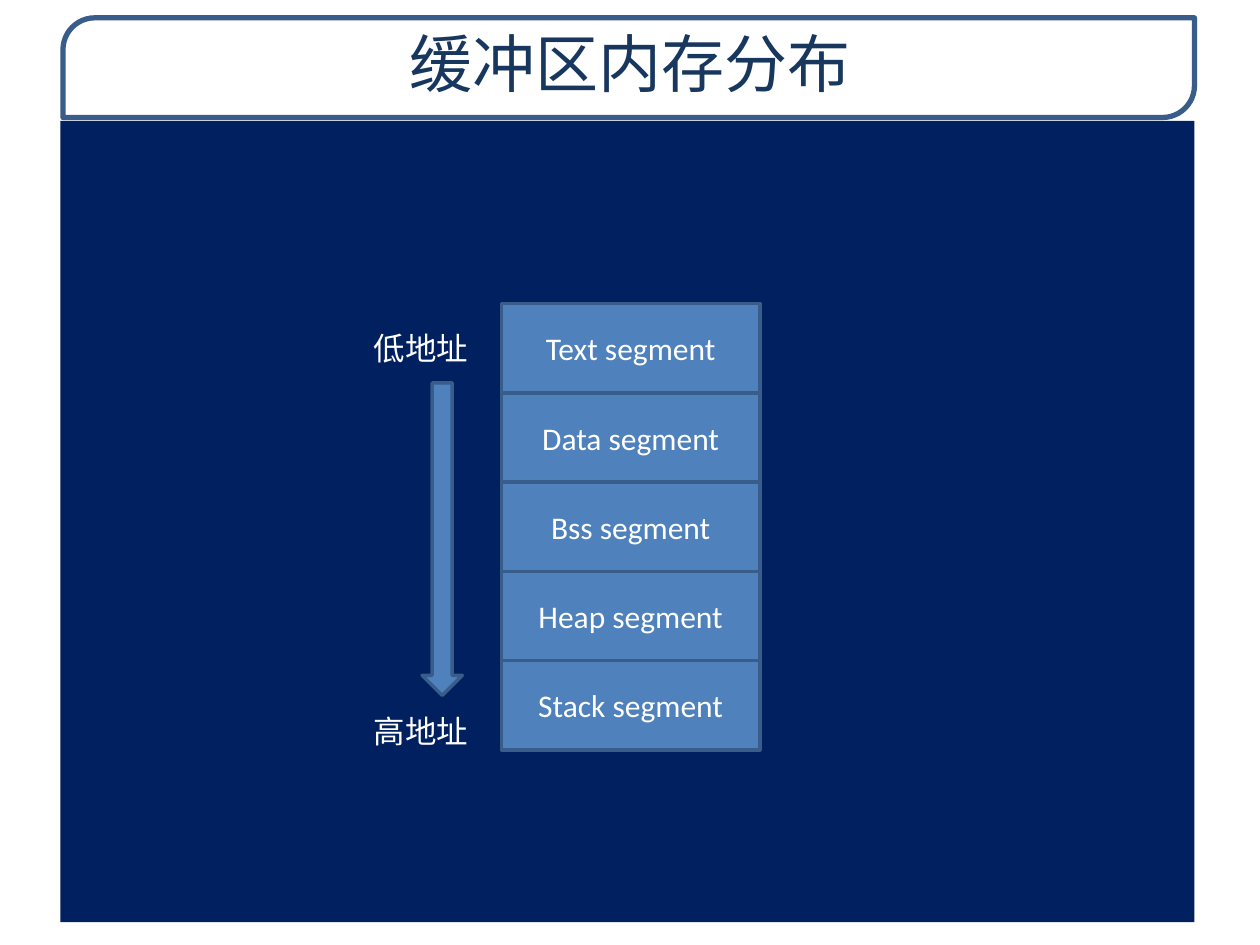
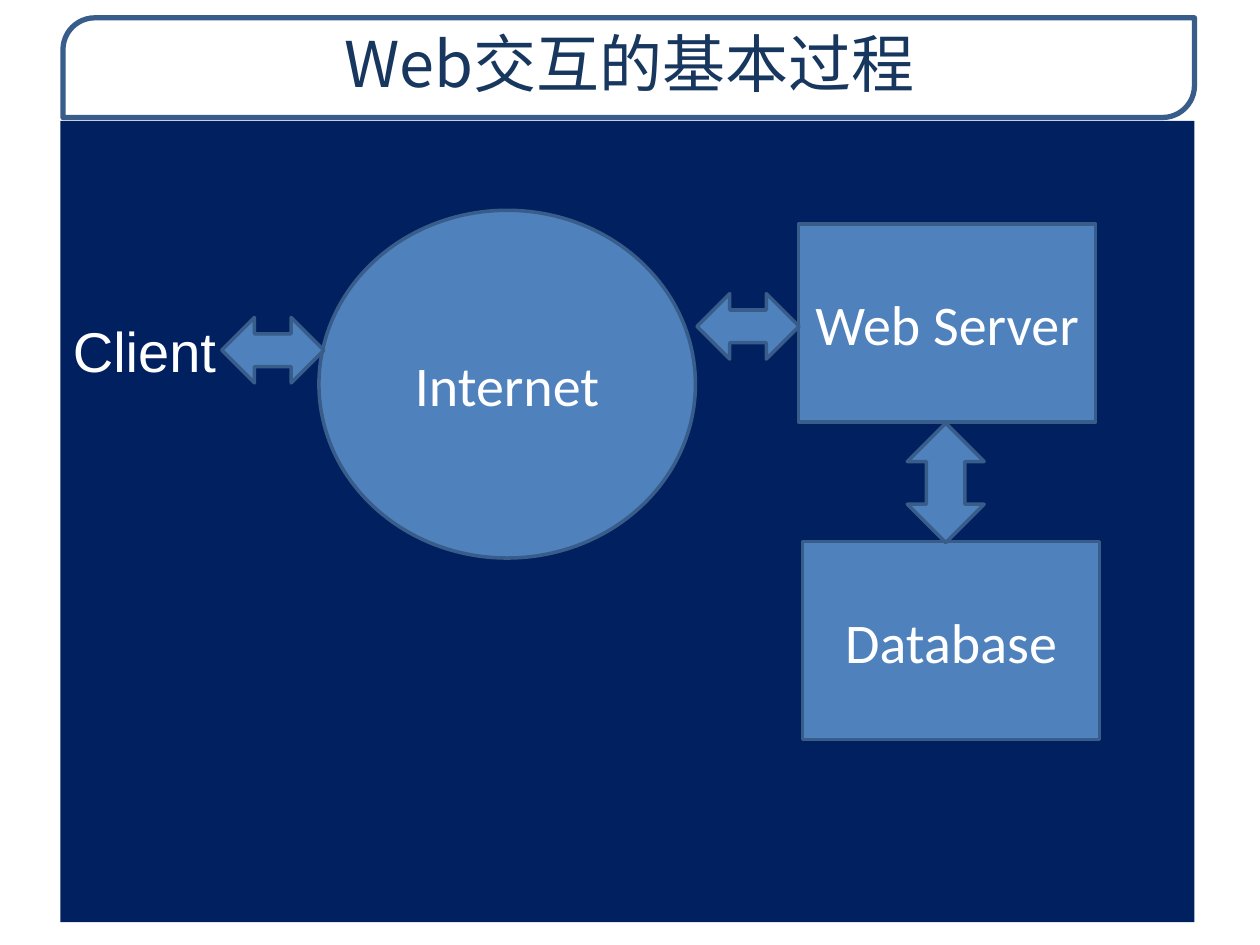
"""Build two slides on buffer memory layout and the web request flow."""
from dataclasses import dataclass

from lxml.etree import SubElement
from pptx import Presentation
from pptx.dml.color import RGBColor
from pptx.enum.shapes import MSO_SHAPE
from pptx.enum.text import MSO_ANCHOR, MSO_AUTO_SIZE, PP_ALIGN
from pptx.oxml.ns import qn
from pptx.util import Cm, Pt


@dataclass(frozen=True)
class Theme:
    white: str = "FFFFFF"
    navy: str = "002060"
    blue: str = "4F81BD"
    edge: str = "385D8A"
    ink: str = "17375E"
    latin: str = "Calibri"
    plain: str = "Arial"
    asian: str = "Noto Sans CJK SC"
    head: int = 36
    large: int = 32
    small: int = 18


def write(frame, text, *, size, font, color, asian,
          align=PP_ALIGN.CENTER, anchor=MSO_ANCHOR.MIDDLE):
    frame.word_wrap = True
    frame.auto_size = MSO_AUTO_SIZE.NONE
    frame.vertical_anchor = anchor
    frame.margin_left = frame.margin_right = Cm(0.25)
    frame.margin_top = frame.margin_bottom = Cm(0.13)
    line = frame.paragraphs[0]
    line.alignment = align
    run = line.add_run()
    run.text = text
    run.font.size = Pt(size)
    run.font.name = font
    run.font.color.rgb = RGBColor.from_string(color)
    SubElement(run.font._element, qn("a:ea"), typeface=asian)


class Deck:
    def __init__(self, theme):
        self.theme = theme
        self.show = Presentation()
        self.show.slide_width = Cm(25.4)
        self.show.slide_height = Cm(19.05)
        self.slide = None

    def page(self, title):
        theme = self.theme
        self.slide = self.show.slides.add_slide(self.show.slide_layouts[5])
        head = self.slide.shapes.title
        head.left, head.top, head.width, head.height = map(
            Cm, (1.3, 0.36, 22.78, 1.93))
        write(head.text_frame, title, size=theme.head, font=theme.asian,
              color=theme.ink, asian=theme.asian, anchor=MSO_ANCHOR.TOP)
        band = self.shape(MSO_SHAPE.ROUND_2_DIAG_RECTANGLE,
                          (1.27, 0.36, 22.81, 2.01), fill=theme.white, width=3)
        band.adjustments[0] = 0.32
        head._element.addprevious(band._element)
        self.shape(MSO_SHAPE.RECTANGLE, (1.22, 2.44, 22.86, 16.15),
                   fill=theme.navy, width=0)

    def shape(self, kind, area, fill=None, width=2):
        item = self.slide.shapes.add_shape(kind, *map(Cm, area))
        item.shadow.inherit = False
        item.fill.solid()
        item.fill.fore_color.rgb = RGBColor.from_string(fill or self.theme.blue)
        if width:
            item.line.color.rgb = RGBColor.from_string(self.theme.edge)
            item.line.width = Pt(width)
        else:
            item.line.fill.background()
        return item

    def node(self, text, area, size, kind=MSO_SHAPE.RECTANGLE):
        theme = self.theme
        write(self.shape(kind, area).text_frame, text, size=size,
              font=theme.latin, color=theme.white, asian=theme.asian)

    def label(self, text, area, size):
        theme = self.theme
        box = self.slide.shapes.add_textbox(*map(Cm, area))
        write(box.text_frame, text, size=size, font=theme.plain,
              color=theme.white, asian=theme.asian,
              align=PP_ALIGN.LEFT, anchor=MSO_ANCHOR.TOP)

    def arrow(self, kind, area):
        item = self.shape(kind, area)
        item.adjustments[0] = item.adjustments[1] = 0.5


def draw_memory(deck):
    small = deck.theme.small
    deck.page("缓冲区内存分布")
    top, step = 6.12, 1.8
    for row, name in enumerate(("Text", "Data", "Bss", "Heap", "Stack")):
        deck.node(f"{name} segment", (10.11, top + row * step, 5.21, step), small)
    deck.arrow(MSO_SHAPE.DOWN_ARROW, (8.51, 7.72, 0.81, 6.3))
    for text, y in (("低地址", 6.5), ("高地址", 14.22)):
        deck.label(text, (7.29, y, 2.79, 1.02), small)


def draw_web(deck):
    large = deck.theme.large
    deck.page("Web交互的基本过程")
    deck.node("Internet", (6.43, 4.24, 7.59, 7.01), large,
              MSO_SHAPE.FLOWCHART_CONNECTOR)
    for text, x, y in (("Web Server", 16.1, 4.52), ("Database", 16.18, 10.92)):
        deck.node(text, (x, y, 5.99, 3.99), large)
    deck.label("Client", (1.22, 6.25, 3.81, 1.63), large)
    deck.arrow(MSO_SHAPE.UP_DOWN_ARROW, (18.29, 8.53, 1.55, 2.41))
    for x, y in ((14.05, 5.92), (4.47, 6.4)):
        deck.arrow(MSO_SHAPE.LEFT_RIGHT_ARROW, (x, y, 2.06, 1.32))


def main():
    deck = Deck(Theme())
    draw_memory(deck)
    draw_web(deck)
    deck.show.save("out.pptx")


if __name__ == "__main__":
    main()
